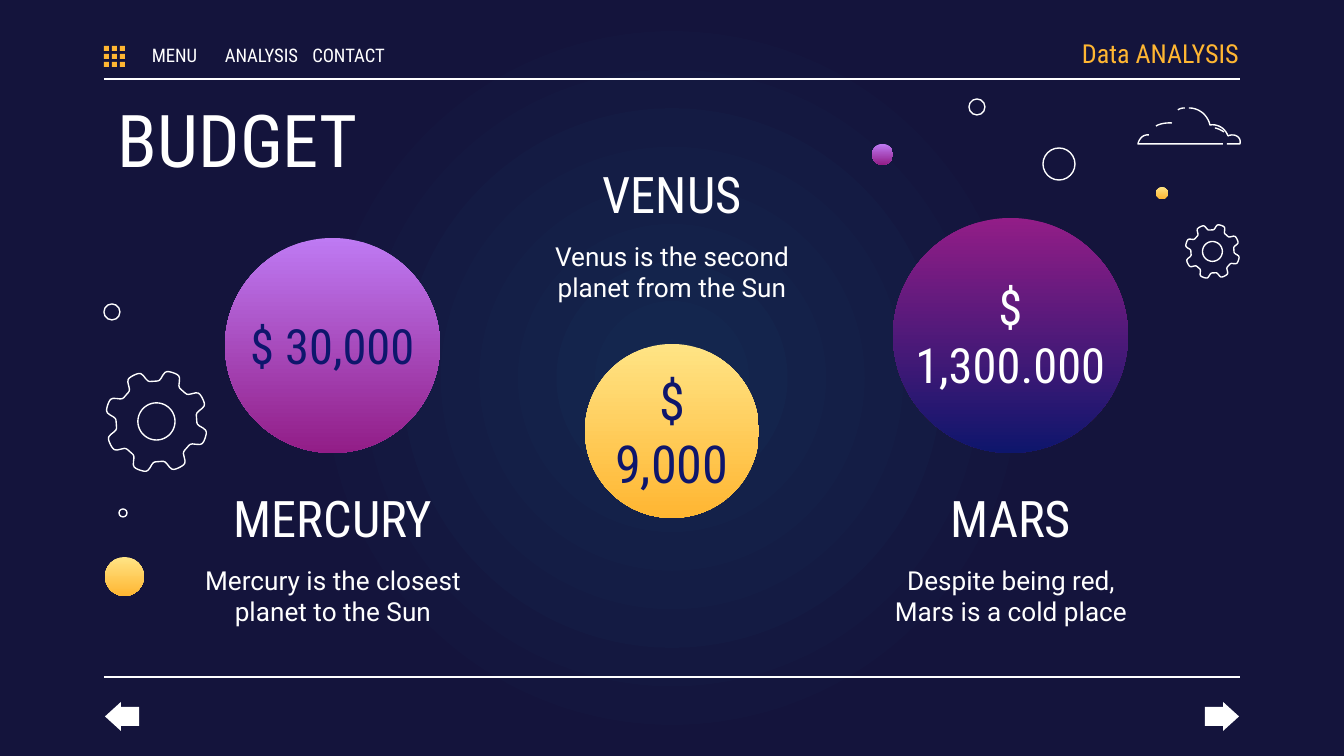
import copy
import math
from dataclasses import dataclass

from lxml import etree
from pptx import Presentation
from pptx.dml.color import RGBColor
from pptx.enum import shapes, text
from pptx.oxml.ns import qn
from pptx.util import Emu, Pt

W, H = 1344, 756
PX = 9144000 / W


@dataclass(frozen=True)
class Theme:
    head: str = "Roboto Condensed"
    body: str = "Roboto"
    white: str = "FFFFFF"
    navy: str = "0E166C"
    amber: str = "FFB632"
    glow: str = "142850"
    night: str = "14143C"
    gold: tuple = ("FFE485", "FFB632")
    violet: tuple = ("BE7AF3", "921D87")
    dusk: tuple = ("921D87", "0E166C")
    title_pt: int = 39
    name_pt: int = 27
    text_pt: int = 14
    menu_pt: int = 10
    line_pt: float = 0.75


T = Theme()
MIDDLE = text.MSO_ANCHOR.MIDDLE
CENTER = text.PP_ALIGN.CENTER


def px(*lengths):
    return [Emu(round(v * PX)) for v in lengths]


def rgb(color):
    return RGBColor.from_string(color)


def put_text(sp, words, size, color=T.white, font=T.head, align=CENTER,
             anchor=MIDDLE, wrap=True, insets=(13, 13, 13, 13)):
    tf = sp.text_frame
    tf.word_wrap, tf.vertical_anchor = wrap, anchor
    tf.margin_left, tf.margin_top, tf.margin_right, tf.margin_bottom = px(*insets)
    p = tf.paragraphs[0]
    p.text, p.alignment = words, align
    for r in p.runs:
        r.font.name, r.font.size = font, Pt(size)
        r.font.color.rgb = rgb(color)


def add_text(s, box, words, size, **fmt):
    put_text(s.shapes.add_textbox(*px(*box)), words, size, **fmt)


def paint(sp, fill=None, line=None):
    """Fill with a colour, a top-to-bottom pair of colours, or nothing."""
    sp.shadow.inherit = False
    if fill is None:
        sp.fill.background()
    elif isinstance(fill, tuple):
        sp.fill.gradient()
        sp.fill.gradient_angle = 270
        for stop, color in zip(sp.fill.gradient_stops, fill):
            stop.color.rgb = rgb(color)
    else:
        sp.fill.solid()
        sp.fill.fore_color.rgb = rgb(fill)
    if line:
        sp.line.color.rgb, sp.line.width = rgb(line), Pt(T.line_pt)
    else:
        sp.line.fill.background()


def add_preset(s, kind, box, fill=None, line=None):
    sp = s.shapes.add_shape(kind, *px(*box))
    paint(sp, fill, line)
    return sp


def add_circle(s, x, y, d, fill=None, line=None):
    return add_preset(s, shapes.MSO_SHAPE.OVAL, (x, y, d, d), fill, line)


def add_outline(s, contours, close):
    first, *others = [[px(*pt) for pt in c] for c in contours]
    pen = s.shapes.build_freeform(*first[0], scale=1.0)
    pen.add_line_segments(first[1:], close=close)
    for c in others:
        pen.move_to(*c[0])
        pen.add_line_segments(c[1:], close=close)
    paint(pen.convert_to_shape(), line=T.white)


def add_rule(s, x, y, w):
    ln = s.shapes.add_connector(shapes.MSO_CONNECTOR.STRAIGHT, *px(x, y, x + w, y))
    ln.line.color.rgb, ln.line.width = rgb(T.white), Pt(T.line_pt)
    etree.SubElement(ln._element.spPr, qn("a:effectLst"))


def background(s):
    fill = s.background.fill
    fill.gradient()
    for stop, color in zip(fill.gradient_stops, (T.glow, T.night)):
        stop.color.rgb = rgb(color)
    grad = s._element.find(".//" + qn("a:gradFill"))
    stops = grad.find(qn("a:gsLst"))
    half = copy.deepcopy(stops[-1])
    half.set("pos", "50000")
    stops.insert(1, half)
    grad.remove(grad.find(qn("a:lin")))
    radial = etree.SubElement(grad, qn("a:path"), path="circle")
    etree.SubElement(radial, qn("a:fillToRect"), l="50000", t="50000", r="50000", b="50000")


def header(s, x, y, w, h):
    # Grid icon
    icon = s.shapes.add_group_shape()
    for i in range(9):
        add_preset(icon, shapes.MSO_SHAPE.RECTANGLE,
                   (x + i // 3 * 8, y + 6 + i % 3 * 8, 5, 5), T.amber)
    # Menu and section label
    for i, word in enumerate(("MENU", "ANALYSIS", "CONTACT")):
        add_text(s, (x + 32 + i * 87, y, 77, 31), word, T.menu_pt, insets=(0, 13, 0, 13))
    add_text(s, (x + w - 202, y - 9, 201, 44), "Data ANALYSIS", T.text_pt, color=T.amber,
             align=text.PP_ALIGN.RIGHT, insets=(13, 13, 0, 13))
    add_rule(s, x, y + h, w)


def footer(s, x, y, w, h):
    add_rule(s, x, y, w)
    kinds = shapes.MSO_SHAPE
    for kind, left in ((kinds.LEFT_ARROW, x + 1), (kinds.RIGHT_ARROW, x + w - 35)):
        arrow = add_preset(s, kind, (left, y + h - 29, 34, 29), T.white)
        arrow.adjustments[0], arrow.adjustments[1] = 0.66, 0.55


def planet(s, box, name, note, amount, size, d, fill, color, caption_first=False):
    x, y, w, h = box
    caption_y, disc_y = (y, y + h - d) if caption_first else (y + h - 136, y)
    disc = add_circle(s, x + (w - d) // 2, disc_y, d, fill)
    put_text(disc, amount, size, color=color, wrap=False)
    add_text(s, (x, caption_y, w, 44), name, T.name_pt)
    add_text(s, (x, caption_y + 56, w, 80), note, T.text_pt, font=T.body,
             anchor=text.MSO_ANCHOR.TOP)


def gear(s, x, y, d):
    r, c = d / 2, (x + d / 2, y + d / 2)

    def ring(radius):
        return [(c[0] + radius(a) * math.cos(a), c[1] + radius(a) * math.sin(a))
                for a in (math.radians(deg) for deg in range(0, 360, 2))]

    def toothed(a):
        wave = math.cos(8 * (a - math.radians(18.7)))
        return r * (0.89 + 0.11 * math.tanh(2.5 * wave))

    add_outline(s, [ring(toothed), ring(lambda a: r * 0.36)], close=True)


def cloud(s, x, y):
    # Each stroke: a start, then line ends (1 point) or curves (3 points)
    strokes = [
        [(51, 0), [(62, 0), (70, 8), (72, 17)], [(80, 16), (87, 20), (90, 28)],
         [(96, 25), (104, 29), (102, 36)], [(89, 36)]],
        [(47, 0), [(47, 0), (42, 0), (40, 2)]],
        [(85, 36), [(0, 36)], [(0, 36), (2, 26), (11, 27)]],
        [(77, 20), [(77, 20), (82, 21), (86, 24)]],
        [(34, 15), [(34, 15), (25, 14), (18, 18)]],
    ]
    group = s.shapes.add_group_shape()
    for start, *parts in strokes:
        pts = [start]
        for part in parts:
            if len(part) == 1:
                pts += part
                continue
            ctrl = [pts[-1], *part]
            for t in (i / 10 for i in range(1, 11)):
                k = ((1 - t) ** 3, 3 * t * (1 - t) ** 2, 3 * t * t * (1 - t), t ** 3)
                pts.append(tuple(sum(f * p[i] for f, p in zip(k, ctrl)) for i in (0, 1)))
        add_outline(group, [[(x + a, y + b) for a, b in pts]], close=False)


def left_decor(s, x, y):
    add_circle(s, x, y, 16, line=T.white)
    gear(s, x + 1, y + 66, 103)
    add_circle(s, x + 15, y + 205, 8, line=T.white)
    add_circle(s, x + 1, y + 253, 39, T.gold)


def right_decor(s, x, y):
    add_circle(s, x, y + 45, 21, T.violet)
    add_circle(s, x + 97, y, 16, line=T.white)
    add_circle(s, x + 171, y + 49, 32, line=T.white)
    add_circle(s, x + 284, y + 88, 12, T.gold)
    cloud(s, x + 266, y + 9)
    gear(s, x + 313, y + 125, 55)


def main():
    prs = Presentation()
    prs.slide_width, prs.slide_height = px(W, H)
    s = prs.slides.add_slide(prs.slide_layouts[6])
    background(s)
    header(s, 104, 40, 1136, 39)
    footer(s, 104, 677, 1136, 54)
    add_text(s, (105, 82, 1134, 89), "BUDGET", T.title_pt,
             align=text.PP_ALIGN.LEFT, anchor=text.MSO_ANCHOR.TOP)
    planet(s, (188, 238, 290, 393), "MERCURY", "Mercury is the closest planet to the Sun",
           "$ 30,000", 26, 215, T.violet, T.navy)
    planet(s, (527, 171, 290, 347), "VENUS", "Venus is the second planet from the Sun",
           "$\v9,000", 28, 174, T.gold, T.navy, caption_first=True)
    planet(s, (866, 218, 290, 413), "MARS", "Despite being red, Mars is a cold place",
           "$\v1,300.000", 26, 235, T.dusk, T.white)
    left_decor(s, 104, 304)
    right_decor(s, 872, 99)
    prs.save("out.pptx")


if __name__ == "__main__":
    main()
